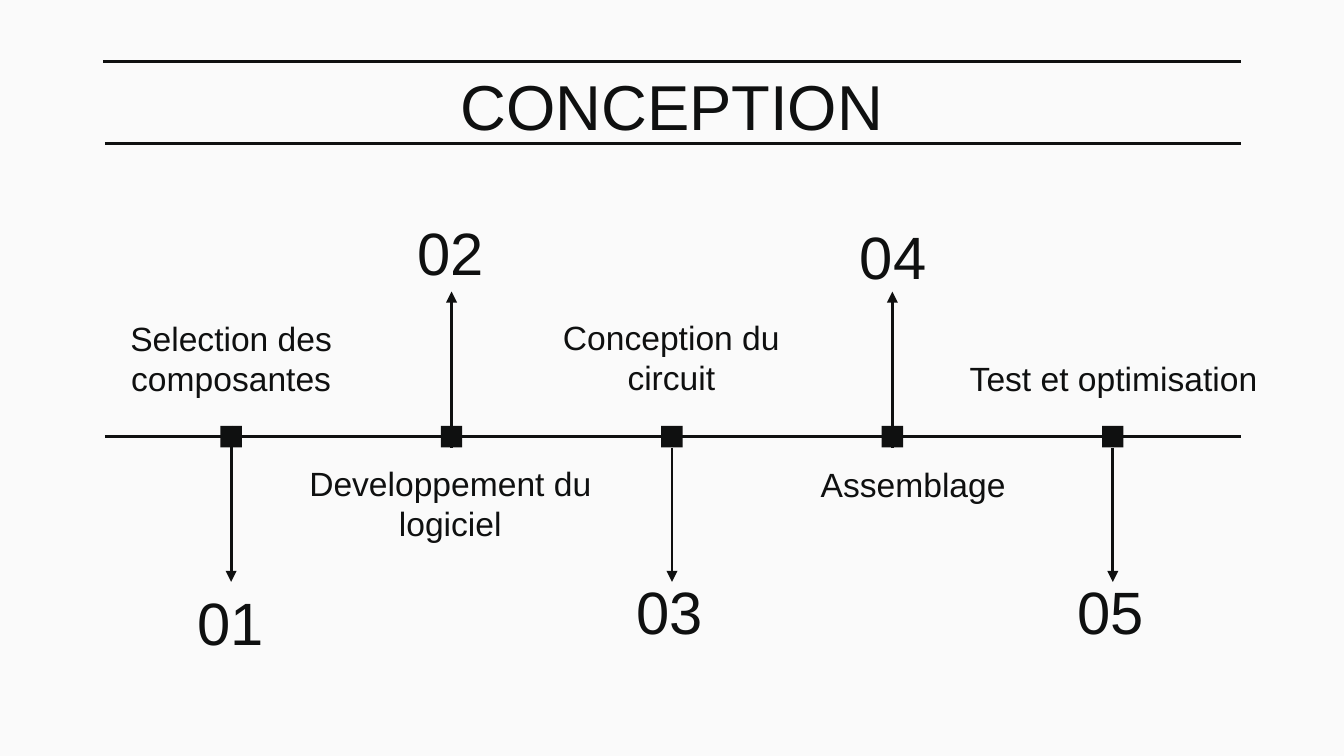
from dataclasses import dataclass

from lxml import etree
from pptx import Presentation
from pptx import util as u
from pptx.dml.color import RGBColor
from pptx.enum import shapes, text
from pptx.oxml import ns

PX = 9144  # EMU per px, 100 px to the inch


@dataclass(frozen=True)
class Theme:
    ink: RGBColor = RGBColor(0x0F, 0x10, 0x10)
    paper: RGBColor = RGBColor(0xFA, 0xFA, 0xFA)
    font: str = "Arial"
    title_size: int = 34
    number_size: int = 32
    label_size: int = 18
    line_width: float = 1.5


@dataclass(frozen=True)
class Box:
    left: int
    top: int
    width: int
    height: int = 45


@dataclass(frozen=True)
class Step:
    label: str
    label_box: Box
    number_left: int
    number_top: int
    arrow_start: int
    arrow_end: int


THEME = Theme()
INSET = 10
AXIS_Y = 325
MARKER = 16
FIRST_X, STEP_X = 172, 164
NUMBER_WIDTH = 83

STEPS = [
    Step("Selection des composantes", Box(45, 244, 254), 130, 440, 317, 433),
    Step("Developpement du logiciel", Box(199, 352, 272), 294, 165, 333, 217),
    Step("Conception du circuit", Box(399, 243, 201), 457, 432, 333, 433),
    Step("Assemblage", Box(586, 338, 187), 623, 168, 333, 217),
    Step("Test et optimisation", Box(709, 259, 239), 785, 432, 333, 433),
]


def px(length: int) -> u.Emu:
    return u.Emu(length * PX)


def write(shape, words: str, size: float, anchor) -> None:
    """Fill a shape with one centred paragraph."""
    frame = shape.text_frame
    frame.text = words
    frame_format = {
        "word_wrap": True,
        "auto_size": text.MSO_AUTO_SIZE.NONE,
        "vertical_anchor": anchor,
        "margin_left": px(INSET),
        "margin_right": px(INSET),
        "margin_top": px(INSET),
        "margin_bottom": px(INSET),
    }
    for name, value in frame_format.items():
        setattr(frame, name, value)
    paragraph = frame.paragraphs[0]
    paragraph.alignment = text.PP_ALIGN.CENTER
    font = paragraph.runs[0].font
    for name, value in {"name": THEME.font, "size": u.Pt(size)}.items():
        setattr(font, name, value)
    font.color.rgb = THEME.ink


def add_text(slide, box: Box, words: str, size: float) -> None:
    shape = slide.shapes.add_textbox(
        px(box.left), px(box.top), px(box.width), px(box.height))
    write(shape, words, size, text.MSO_ANCHOR.MIDDLE)


def add_line(slide, x1: int, y1: int, x2: int, y2: int, arrow: bool = False) -> None:
    line = slide.shapes.add_connector(
        shapes.MSO_CONNECTOR.STRAIGHT, px(x1), px(y1), px(x2), px(y2))
    line.line.color.rgb = THEME.ink
    line.line.width = u.Pt(THEME.line_width)
    properties = line._element.spPr
    if arrow:
        outline = properties.find(ns.qn("a:ln"))
        etree.SubElement(outline, ns.qn("a:tailEnd"), type="triangle")
    etree.SubElement(properties, ns.qn("a:effectLst"))


def add_marker(slide, x: int) -> None:
    marker = slide.shapes.add_shape(
        shapes.MSO_SHAPE.RECTANGLE, px(x - MARKER // 2),
        px(AXIS_Y - MARKER // 2), px(MARKER), px(MARKER))
    marker.shadow.inherit = False
    marker.fill.solid()
    marker.fill.fore_color.rgb = THEME.ink
    marker.line.fill.background()


def add_step(slide, index: int, step: Step) -> None:
    x = FIRST_X + index * STEP_X
    add_marker(slide, x)
    add_line(slide, x, step.arrow_start, x, step.arrow_end, arrow=True)
    add_text(slide, step.label_box, step.label, THEME.label_size)
    number_box = Box(step.number_left, step.number_top, NUMBER_WIDTH)
    add_text(slide, number_box, f"{index + 1:02d}", THEME.number_size)


def main() -> None:
    presentation = Presentation()
    # 16:9 page, 10 inches wide
    presentation.slide_width, presentation.slide_height = u.Pt(720), u.Pt(405)
    slide = presentation.slides.add_slide(presentation.slide_layouts[5])
    slide.background.fill.solid()
    slide.background.fill.fore_color.rgb = THEME.paper

    # Title between two rules
    title = slide.shapes.title
    title_place = {"left": 78, "top": 40, "width": 844, "height": 63}
    for name, value in title_place.items():
        setattr(title, name, px(value))
    write(title, "CONCEPTION", THEME.title_size, text.MSO_ANCHOR.TOP)
    add_line(slide, 77, 46, 923, 46)
    add_line(slide, 78, 107, 923, 107)

    # Timeline with its steps
    add_line(slide, 78, AXIS_Y, 923, AXIS_Y)
    for index, step in enumerate(STEPS):
        add_step(slide, index, step)

    presentation.save("out.pptx")


if __name__ == "__main__":
    main()
